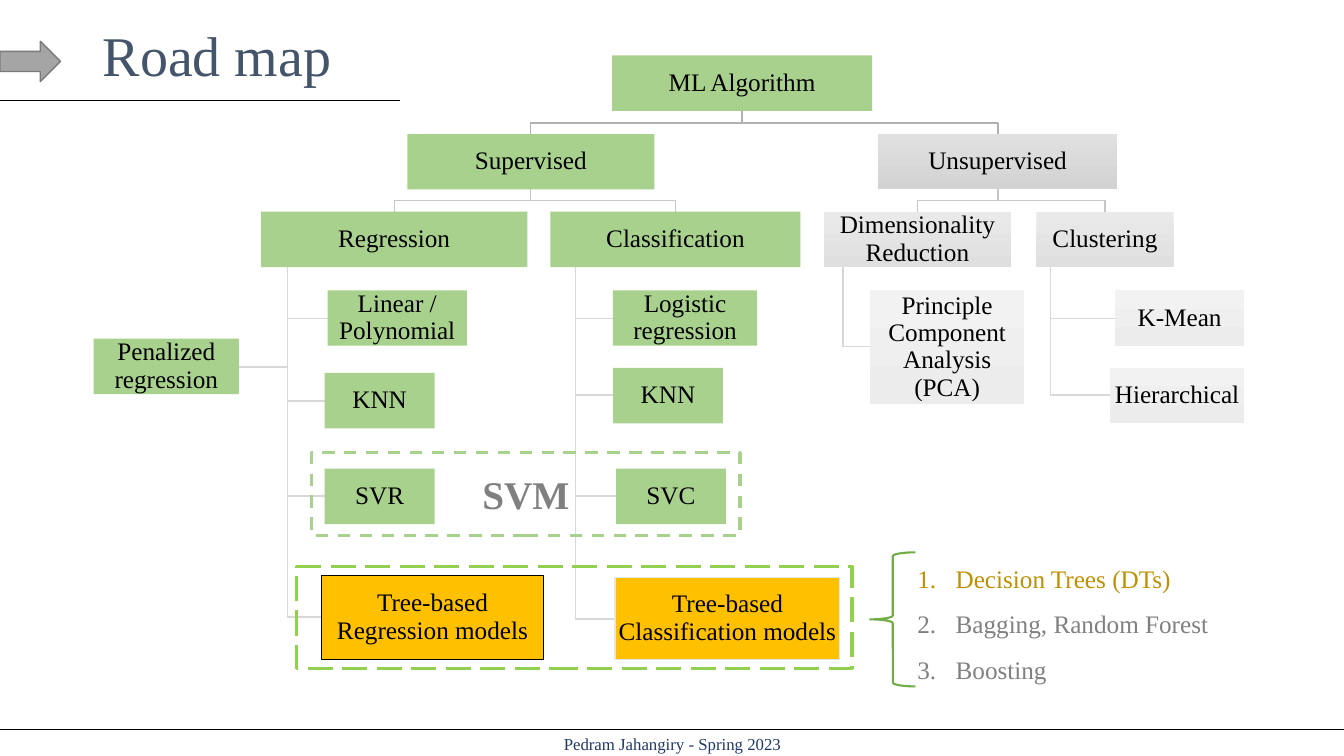
from lxml import etree
from pptx import Presentation
from pptx.dml.color import RGBColor
from pptx.enum.dml import MSO_LINE
from pptx.enum.shapes import MSO_CONNECTOR, MSO_SHAPE
from pptx.enum.text import MSO_ANCHOR, PP_ALIGN
from pptx.oxml.ns import qn
from pptx.util import Emu, Pt

PX = 9144  # EMU per px, 100 px to the inch
FONT = "Times New Roman"
RECT = MSO_SHAPE.RECTANGLE
LEFT, CENTER = PP_ALIGN.LEFT, PP_ALIGN.CENTER
TOP, MIDDLE, BOTTOM = MSO_ANCHOR.TOP, MSO_ANCHOR.MIDDLE, MSO_ANCHOR.BOTTOM

BLACK = RGBColor(0x00, 0x00, 0x00)
WHITE = RGBColor(0xFF, 0xFF, 0xFF)
SLATE = RGBColor(0x44, 0x54, 0x6A)
NAVY = RGBColor(0x20, 0x38, 0x64)
GREEN = RGBColor(0xA9, 0xD1, 0x8E)
LIME = RGBColor(0x92, 0xD0, 0x50)
BRACE_GREEN = RGBColor(0x70, 0xAD, 0x47)
AMBER = RGBColor(0xFF, 0xC0, 0x00)
GOLD = RGBColor(0xBF, 0x90, 0x00)
GRAY = RGBColor(0x80, 0x80, 0x80)
ARROW_GRAY = RGBColor(0xA5, 0xA5, 0xA5)
ARROW_EDGE = RGBColor(0x7A, 0x7A, 0x7A)
PALE = RGBColor(0xE7, 0xE6, 0xE6)
# Gradients (top, bottom) of the boxes still to come, fading with depth
GRAY_1 = (RGBColor(0xE0, 0xE0, 0xE0), RGBColor(0xD3, 0xD3, 0xD3))
GRAY_2 = (RGBColor(0xE9, 0xE9, 0xE9), RGBColor(0xDF, 0xDF, 0xDF))
GRAY_3 = (RGBColor(0xF2, 0xF2, 0xF2), RGBColor(0xEC, 0xEC, 0xEC))
# Link colour by depth of the parent
LINK_COLORS = (RGBColor(0xB1, 0xB1, 0xB1), RGBColor(0xC6, 0xC6, 0xC6),
               RGBColor(0xD8, 0xD8, 0xD8))

# Content: (text, (left, top, width, height), fill, edge, children)
REGRESSION = ("Regression", (259, 210, 264, 55), GREEN, None, [
    ("Linear / Polynomial", (325, 288, 138, 55), GREEN, None, []),
    ("Penalized regression", (93, 336, 144, 55), GREEN, None, []),
    ("KNN", (322, 370, 109, 55), GREEN, None, []),
    ("SVR", (322, 465, 109, 55), GREEN, None, []),
    ("Tree-based Regression models", (319, 571, 220, 83), AMBER, BLACK, []),
])
CLASSIFICATION = ("Classification", (546, 210, 248, 55), GREEN, None, [
    ("Logistic regression", (608, 288, 143, 55), GREEN, None, []),
    ("KNN", (608, 365, 109, 55), GREEN, None, []),
    ("SVC", (611, 465, 109, 55), GREEN, None, []),
    ("Tree-based Classification models", (610, 573, 223, 81), AMBER, PALE, []),
])
DIMENSIONALITY = ("Dimensionality Reduction", (817, 210, 186, 55), GRAY_2, None, [
    ("Principle Component Analysis (PCA)", (863, 288, 153, 113), GRAY_3, None, []),
])
CLUSTERING = ("Clustering", (1028, 210, 136, 55), GRAY_2, None, [
    ("K-Mean", (1106, 288, 128, 55), GRAY_3, None, []),
    ("Hierarchical", (1101, 365, 133, 55), GRAY_3, None, []),
])
ROADMAP = ("ML Algorithm", (607, 55, 258, 55), GREEN, None, [
    ("Supervised", (404, 133, 245, 55), GREEN, None,
     [REGRESSION, CLASSIFICATION]),
    ("Unsupervised", (871, 133, 237, 55), GRAY_1, None,
     [DIMENSIONALITY, CLUSTERING]),
])
TREE_MODELS = [("Decision Trees (DTs)", GOLD), ("Bagging, Random Forest", GRAY),
               ("Boosting", GRAY)]

prs = Presentation()
prs.slide_width, prs.slide_height = Emu(1333 * PX), Emu(750 * PX)
slide = prs.slides.add_slide(prs.slide_layouts[5])
shapes = slide.shapes


def emu(box):
    return [Emu(v * PX) for v in box]


def set_frame(shape, anchor, inset=None):
    frame = shape.text_frame
    frame.word_wrap = True
    frame.vertical_anchor = anchor
    if inset is not None:
        frame.margin_left = frame.margin_right = Emu(inset * PX)
        frame.margin_top = frame.margin_bottom = Emu(inset * PX)
    return frame


def write(paragraph, text, size, color, align=CENTER, spacing=1.0, bold=False):
    paragraph.text = text
    paragraph.alignment = align
    paragraph.line_spacing = spacing
    font = paragraph.font
    font.name, font.size, font.bold = FONT, Pt(size), bold
    font.color.rgb = color


def add_outline(shape, color, width):
    shape.line.color.rgb = color
    shape.line.width = Pt(width)


def add_block(kind, box, fill=None, edge=None, width=0.75, dash=None):
    block = shapes.add_shape(kind, *emu(box))
    block.shadow.inherit = False
    if fill is None:
        block.fill.background()
    elif isinstance(fill, RGBColor):
        block.fill.solid()
        block.fill.fore_color.rgb = fill
    else:
        block.fill.gradient()
        block.fill.gradient_angle = 270
        for stop, color in zip(block.fill.gradient_stops, fill):
            stop.color.rgb = color
    if edge is None:
        block.line.fill.background()
    else:
        add_outline(block, edge, width)
        block.line.dash_style = dash
    return block


def add_rule(y, length):
    rule = shapes.add_connector(MSO_CONNECTOR.STRAIGHT, *emu((0, y, length, y)))
    add_outline(rule, BLACK, 0.5)
    etree.SubElement(rule._element.spPr, qn("a:effectLst"))


def link_points(parent, child, depth):
    left, top, width, height = parent
    c_left, c_top, c_width, c_height = child
    bottom = top + height
    if depth < 2:  # fork down to the child's top
        x, c_x, middle = left + width / 2, c_left + c_width / 2, (bottom + c_top) / 2
        return [(x, bottom), (x, middle), (c_x, middle), (c_x, c_top)]
    # hang from a trunk at a tenth of the parent's width
    x, y = left + width / 10, c_top + c_height / 2
    side = c_left if c_left > x else c_left + c_width
    return [(x, bottom), (x, y), (side, y)]


def add_links(node, depth=0):
    for child in node[4]:
        start, *rest = link_points(node[1], child[1], depth)
        builder = shapes.build_freeform(*start, scale=PX)
        builder.add_line_segments(rest, close=False)
        link = builder.convert_to_shape()
        link.shadow.inherit = False
        link.fill.background()
        add_outline(link, LINK_COLORS[depth], 1)
        add_links(child, depth + 1)


def add_nodes(node):
    text, box, fill, edge, children = node
    frame = set_frame(add_block(RECT, box, fill, edge), MIDDLE, inset=1)
    write(frame.paragraphs[0], text, 18, BLACK, spacing=0.9)
    for child in children:
        add_nodes(child)


# Footer
add_rule(724, 1333)
footer = set_frame(add_block(RECT, (459, 726, 416, 24), WHITE), MIDDLE)
write(footer.paragraphs[0], "Pedram Jahangiry - Spring 2023", 12, NAVY)

# Tree of algorithms
add_links(ROADMAP)
add_nodes(ROADMAP)

# Title with arrow and rule
title = shapes.title
title.left, title.top, title.width, title.height = emu((92, 11, 835, 82))
write(set_frame(title, BOTTOM).paragraphs[0], "Road map", 40, SLATE, LEFT, 0.9)
add_block(MSO_SHAPE.RIGHT_ARROW, (0, 41, 60, 40), ARROW_GRAY, ARROW_EDGE, 1)
add_rule(100, 397)

# Dashed groups
svm = add_block(RECT, (309, 449, 425, 82), None, GREEN, 2.25, MSO_LINE.DASH)
write(set_frame(svm, MIDDLE).paragraphs[0], "SVM", 28, GRAY, bold=True)
add_block(RECT, (294, 562, 551, 101), None, LIME, 2.25, MSO_LINE.LONG_DASH)

# Numbered list of tree-based models
add_block(MSO_SHAPE.LEFT_BRACE, (863, 548, 45, 133), None, BRACE_GREEN, 1.5)
models = set_frame(shapes.add_textbox(*emu((900, 539, 370, 141))), TOP)
for i, (model, color) in enumerate(TREE_MODELS):
    item = models.paragraphs[0] if i == 0 else models.add_paragraph()
    write(item, model, 18, color, LEFT, 1.5)
    props = item._p.get_or_add_pPr()
    props.set("marL", str(38 * PX))
    props.set("indent", str(-38 * PX))
    number = etree.Element(qn("a:buAutoNum"), type="arabicPeriod")
    props.find(qn("a:defRPr")).addprevious(number)

prs.save("out.pptx")
